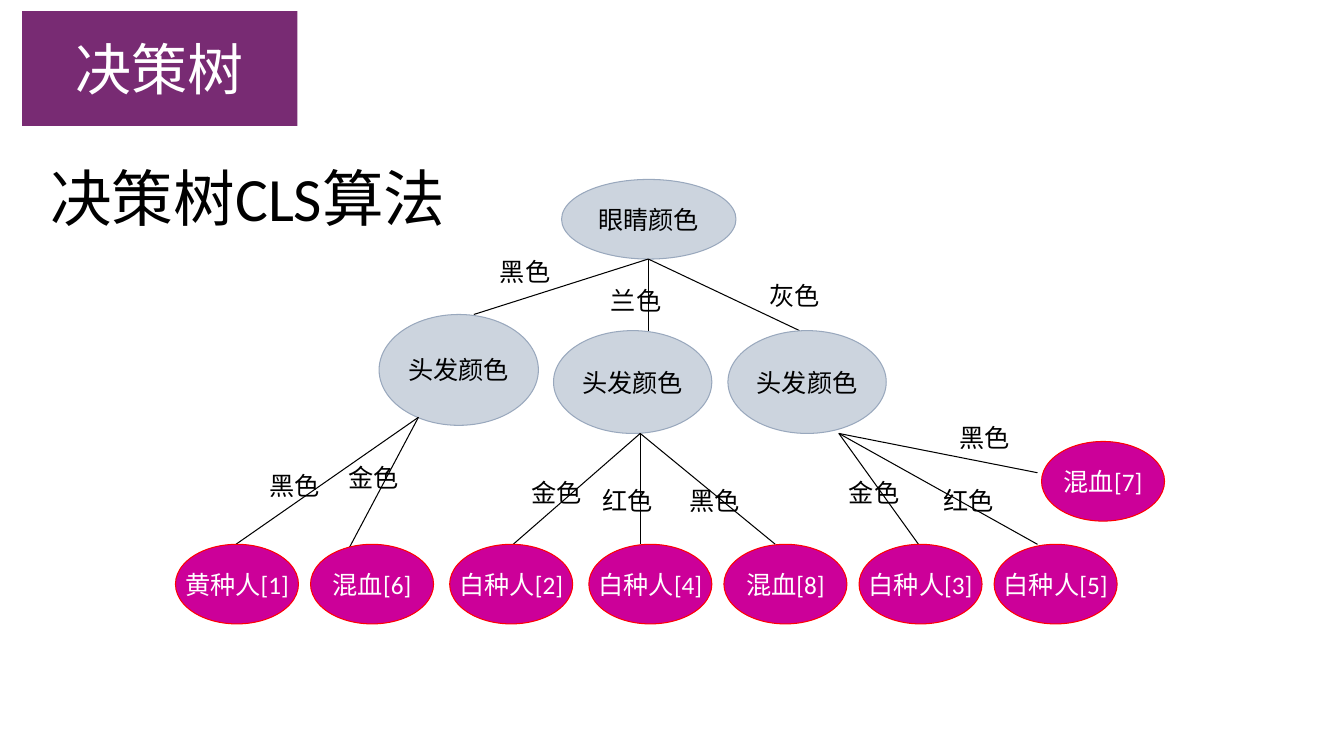
import pptx
import pptx.dml.color
import pptx.enum.shapes
import pptx.enum.text
import pptx.oxml.ns
import pptx.util
from lxml import etree
from pptx.util import Inches

COLORS = {
    "banner": "782B73", "white": "FFFFFF", "black": "000000",
    "test": "CCD4DE", "test_line": "99A8BD",
    "leaf": "CC0099", "leaf_line": "FF0000",
}
SHAPES = pptx.enum.shapes.MSO_SHAPE
ALIGN = pptx.enum.text.PP_ALIGN


class TreeSlide:
    """Draws the parts of a decision tree on one slide in a shared style."""

    font = "Calibri"
    line_width = 0.75

    def __init__(self, prs):
        self.s = prs.slides.add_slide(prs.slide_layouts[6])

    def color(self, name):
        return pptx.dml.color.RGBColor.from_string(COLORS[name])

    def add_text(self, sp, text, size, color, align, wrap=False, middle=True):
        tf = sp.text_frame
        tf.word_wrap = wrap
        anchor = pptx.enum.text.MSO_ANCHOR
        tf.vertical_anchor = anchor.MIDDLE if middle else anchor.TOP
        p = tf.paragraphs[0]
        p.alignment = align
        r = p.add_run()
        r.text = text
        r.font.name = self.font
        r.font.size = pptx.util.Pt(size)
        r.font.color.rgb = self.color(color)
        return p

    def shape(self, kind, box, text, size, fill, color, line=None):
        sp = self.s.shapes.add_shape(kind, *map(Inches, box))
        sp.shadow.inherit = False
        sp.fill.solid()
        sp.fill.fore_color.rgb = self.color(fill)
        if line:
            sp.line.color.rgb = self.color(line)
            sp.line.width = pptx.util.Pt(self.line_width)
        else:
            sp.line.fill.background()
        self.add_text(sp, text, size, color, ALIGN.CENTER)

    def test(self, text, *box):
        self.shape(SHAPES.OVAL, box, text, 18, "test", "black", "test_line")

    def leaf(self, text, left, top):
        box = (left, top, 1.22, 0.79)
        self.shape(SHAPES.OVAL, box, text, 18, "leaf", "white", "leaf_line")

    def branch(self, start, end):
        kind = pptx.enum.shapes.MSO_CONNECTOR.STRAIGHT
        sp = self.s.shapes.add_connector(kind, *map(Inches, start + end))
        sp.line.color.rgb = self.color("black")
        sp.line.width = pptx.util.Pt(self.line_width)
        etree.SubElement(sp._element.spPr, pptx.oxml.ns.qn("a:effectLst"))

    def label(self, text, left, top):
        sp = self.s.shapes.add_textbox(*map(Inches, (left, top, 0.71, 0.4)))
        self.add_text(sp, text, 18, "black", ALIGN.LEFT, middle=False)
        sp.text_frame.auto_size = pptx.enum.text.MSO_AUTO_SIZE.SHAPE_TO_FIT_TEXT

    def heading(self, text, *box):
        sp = self.s.shapes.add_textbox(*map(Inches, box))
        p = self.add_text(sp, text, 44, "black", ALIGN.LEFT, wrap=True)
        p.line_spacing = 0.9


EYE_BRANCHES = [
    ((6.43, 2.57), [
        ((4.7, 3.12), "黑色", (4.86, 2.49)),
        ((6.43, 3.36), "兰色", (5.96, 2.78)),
        ((7.93, 3.28), "灰色", (7.53, 2.73)),
    ]),
]
HAIR_BRANCHES = [
    ((4.15, 4.14), [
        ((2.34, 5.4), "黑色", (2.57, 4.62)),
        ((3.44, 5.48), "金色", (3.36, 4.54)),
    ]),
    ((6.35, 4.3), [
        ((5.09, 5.4), "金色", (5.17, 4.69)),
        ((6.35, 5.4), "红色", (5.88, 4.77)),
        ((7.69, 5.4), "黑色", (6.74, 4.77)),
    ]),
    ((8.32, 4.3), [
        ((9.11, 5.4), "金色", (8.32, 4.69)),
        ((10.29, 5.4), "红色", (9.26, 4.77)),
        ((10.29, 4.69), "黑色", (9.42, 4.14)),
    ]),
]
HAIR_TESTS = [(3.76, 3.12, 1.58, 1.1), (5.49, 3.28, 1.57, 1.02), (7.22, 3.28, 1.57, 1.02)]
BOTTOM_LEAVES = [
    ("黄种人[1]", 1.74), ("混血[6]", 3.08), ("白种人[2]", 4.46), ("白种人[4]", 5.84),
    ("混血[8]", 7.18), ("白种人[3]", 8.52), ("白种人[5]", 9.86),
]


def draw_branches(slide, groups):
    for start, branches in groups:
        for end, _, _ in branches:
            slide.branch(start, end)


def main():
    prs = pptx.Presentation()
    prs.slide_width, prs.slide_height = Inches(13.33), Inches(7.5)
    slide = TreeSlide(prs)
    slide.shape(SHAPES.RECTANGLE, (0.22, 0.11, 2.73, 1.14), "决策树", 40, "banner", "white")
    slide.test("眼睛颜色", 5.57, 1.78, 1.73, 0.79)
    draw_branches(slide, EYE_BRANCHES)
    for box in HAIR_TESTS:
        slide.test("头发颜色", *box)
    draw_branches(slide, HAIR_BRANCHES)
    for text, left in BOTTOM_LEAVES:
        slide.leaf(text, left, 5.4)
    slide.leaf("混血[7]", 10.33, 4.38)
    for _, branches in EYE_BRANCHES + HAIR_BRANCHES:
        for _, text, spot in branches:
            slide.label(text, *spot)
    slide.heading("决策树CLS算法", 0.4, 1.27, 11.5, 1.45)
    prs.save("out.pptx")


if __name__ == "__main__":
    main()
